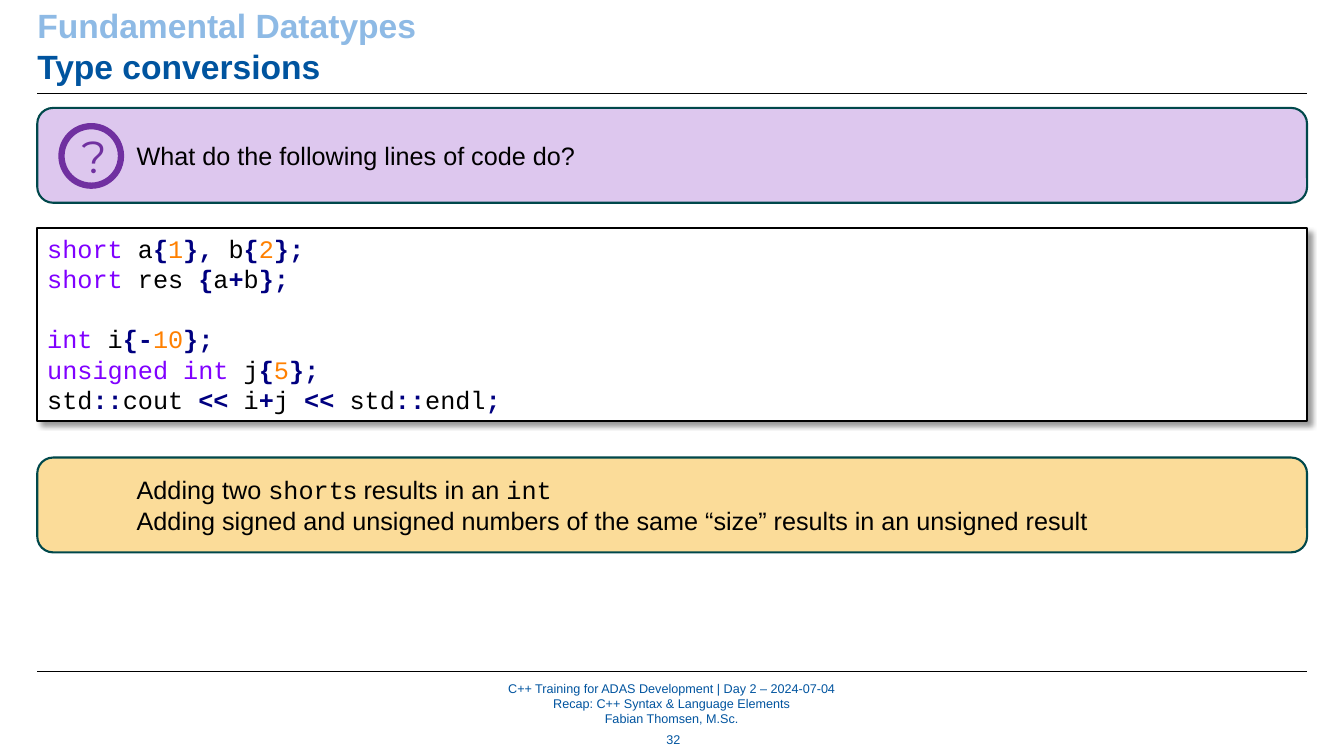
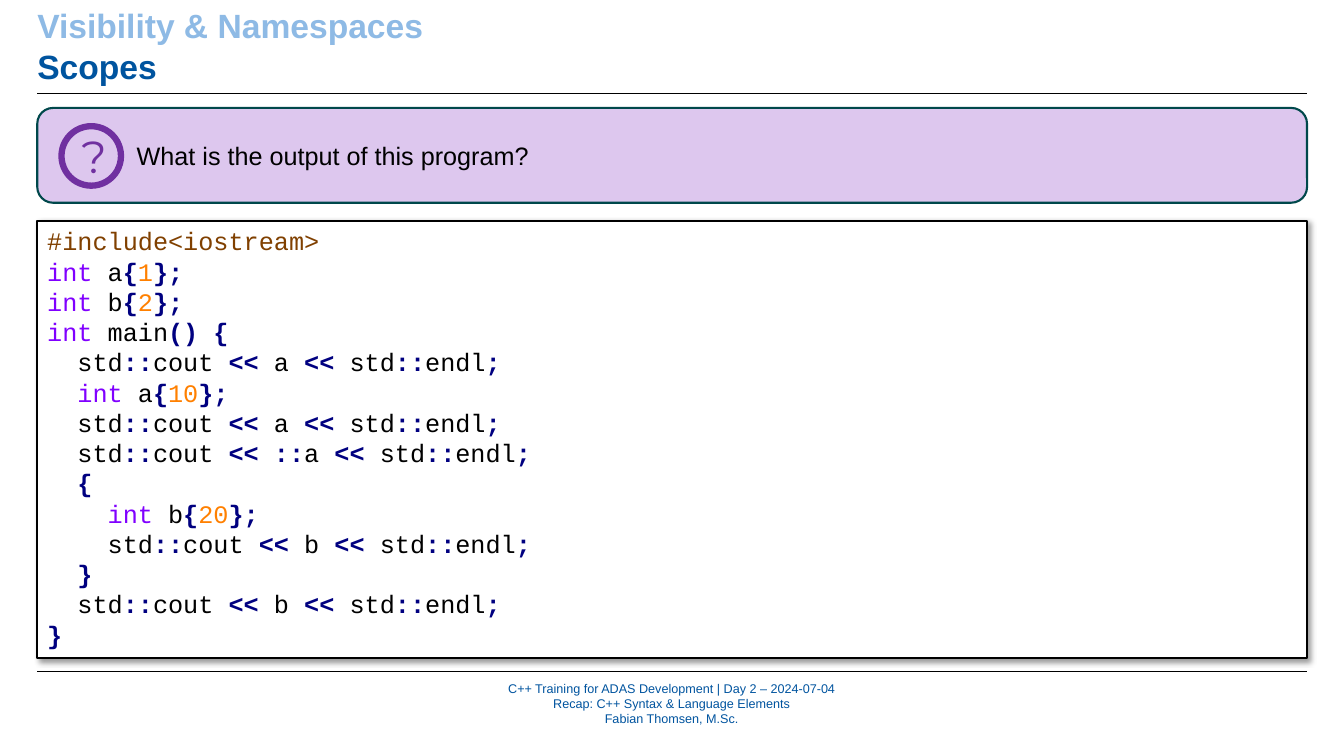
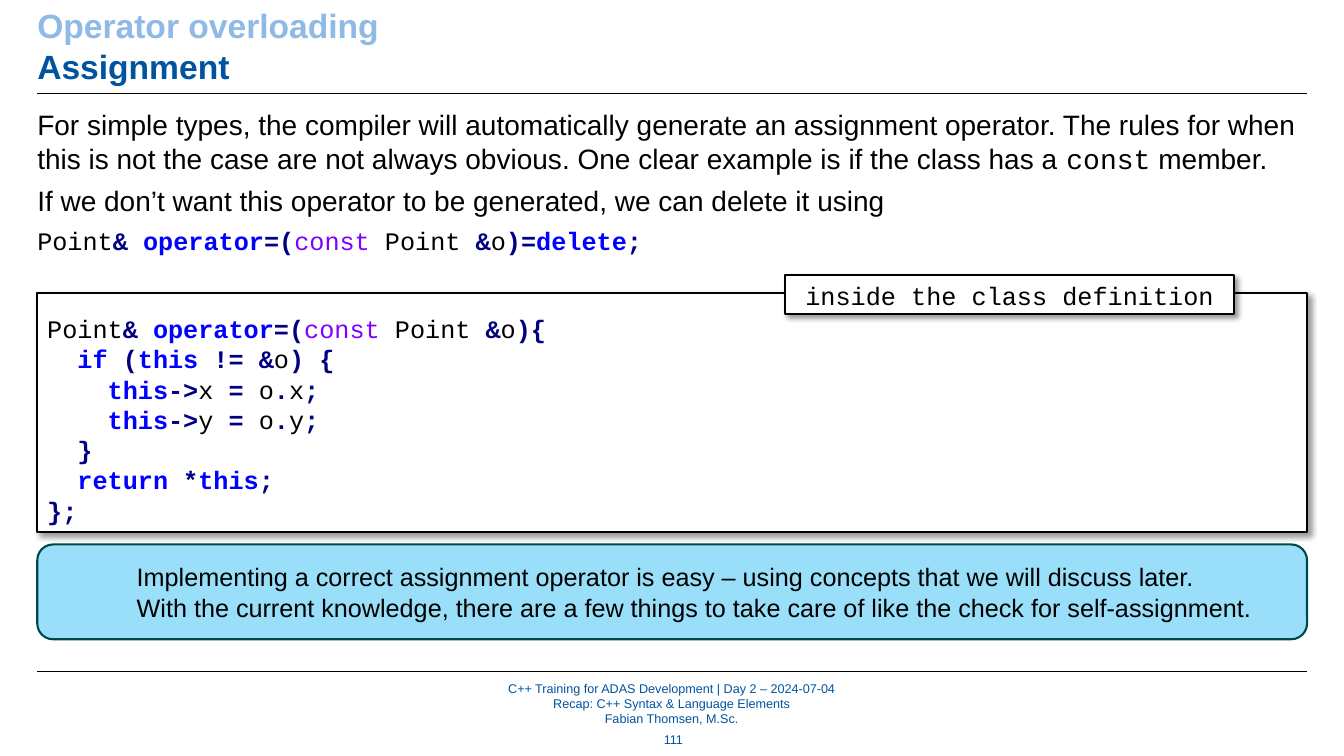
"""Build three C++ training slides with questions, code boxes and callouts."""
from itertools import groupby

from lxml import etree
from pptx import Presentation
from pptx import util as u
from pptx.dml.color import RGBColor
from pptx.enum import shapes, text
from pptx.oxml.ns import qn

SHAPE = shapes.MSO_SHAPE
ANCHOR = text.MSO_ANCHOR
CENTER = text.PP_ALIGN.CENTER
BLUE, LIGHT_BLUE, BLACK, WHITE = "00549F", "8EBAE5", "000000", "FFFFFF"
PURPLE, TEAL = "7030A0", "00484B"
TYPES = {"short", "int", "unsigned", "const"}
KEYWORDS = {"operator", "delete", "if", "this", "return"}
LEFT, WIDTH = 0.94, 32
CALLOUT_HEIGHT = 2.39
FOOTER = ["C++ Training for ADAS Development | Day 2 – 2024-07-04",
          "Recap: C++ Syntax & Language Elements", "Fabian Thomsen, M.Sc."]

DECK = [
    {"title": ["Fundamental Datatypes", "Type conversions"], "number": "32",
     "question": "What do the following lines of code do?",
     "code_box": (5.74, 4.88, 0.13),
     "code": """short a{1}, b{2};
short res {a+b};

int i{-10};
unsigned int j{5};
std::cout << i+j << std::endl;""",
     "callout": (11.53, "F6A800", [
         "Adding two `short`s results in an `int`",
         "Adding signed and unsigned numbers of the same “size” results in an unsigned result"])},
    {"title": ["Visibility & Namespaces", "Scopes"],
     "question": "What is the output of this program?",
     "code_box": (5.56, 11.02, 0.13),
     "code": """#include<iostream>
int a{1};
int b{2};
int main() {
  std::cout << a << std::endl;
  int a{10};
  std::cout << a << std::endl;
  std::cout << ::a << std::endl;
  {
    int b{20};
    std::cout << b << std::endl;
  }
  std::cout << b << std::endl;
}"""},
    {"title": ["Operator overloading", "Assignment"], "number": "111",
     "body": ["For simple types, the compiler will automatically generate an assignment operator. "
              "The rules for when this is not the case are not always obvious. "
              "One clear example is if the class has a `const` member.",
              "If we don’t want this operator to be generated, we can delete it using"],
     "body_code": "Point& operator=(const Point &o)=delete;",
     "code_box": (7.39, 6.02, 0.51),
     "code": """Point& operator=(const Point &o){
  if (this != &o) {
    this->x = o.x;
    this->y = o.y;
  }
  return *this;
};""",
     "label": "`inside the class definition`",
     "callout": (13.72, "00B0F0", [
         "Implementing a correct assignment operator is easy – using concepts that we will discuss later.",
         "With the current knowledge, there are a few things to take care of like the check for self-assignment."])},
]


def write(tf, lines, code=False, size=18, color=BLACK, bold=False, name="Arial", **layout):
    """Append lines; backticks mark monospaced words and code is highlighted."""
    for line in lines:
        first = len(tf.paragraphs) == 1 and not tf.text and line is lines[0]
        p = tf.paragraphs[0] if first else tf.add_paragraph()
        for key, value in layout.items():
            if not (first and key == "space_before"):
                setattr(p, key, value)
        runs = []
        if code and line.startswith("#"):
            runs.append((line, "804000", False, "Courier New"))
        elif code:
            for kind, chars in groupby(line, lambda c: "word" if c.isalnum() else "space" if c == " " else "mark"):
                token = "".join(chars)
                if kind == "mark":
                    look = "000080", True
                elif token in KEYWORDS:
                    look = "0000FF", True
                elif token in TYPES:
                    look = "8000FF", False
                else:
                    look = "FF8000" if token.isdigit() else BLACK, False
                runs.append((token, *look, "Courier New"))
        else:
            for i, part in enumerate(line.split("`")):
                if part:
                    runs.append((part, color, bold, "Courier New" if i % 2 else name))
        for token, hue, strong, face in runs:
            r = p.add_run()
            r.text = token
            for key, value in {"size": u.Pt(size), "bold": strong, "name": face}.items():
                setattr(r.font, key, value)
            r.font.color.rgb = RGBColor.from_string(hue)


def box(s, at, kind=None, fill=None, line=BLACK, weight=1.5, alpha=None, shadow=False,
        ins=(0.25, 0.13, 0.25, 0.13), anchor=ANCHOR.TOP):
    """Add a text box, or a shape of the given kind, and return its text frame."""
    at = [u.Cm(v) for v in at]
    sp = s.shapes.add_shape(kind, *at) if kind else s.shapes.add_textbox(*at)
    if kind:
        sp.shadow.inherit = False
        sp.line.color.rgb = RGBColor.from_string(line)
        sp.line.width = u.Pt(weight)
        if fill:
            sp.fill.solid()
            sp.fill.fore_color.rgb = RGBColor.from_string(fill)
        else:
            sp.fill.background()
    if alpha:
        clr = sp.fill._xPr.find(qn("a:solidFill"))[0]
        etree.SubElement(clr, qn("a:alpha"), val=str(alpha * 1000))
    if shadow:
        effects = sp._element.spPr.find(qn("a:effectLst"))
        outer = etree.SubElement(effects, qn("a:outerShdw"), blurRad=str(u.Pt(4)), dist=str(u.Pt(3)),
                                 dir=str(45 * 60000), algn="tl", rotWithShape="0")
        clr = etree.SubElement(outer, qn("a:srgbClr"), val=BLACK)
        etree.SubElement(clr, qn("a:alpha"), val="40000")
    tf = sp.text_frame
    margins = dict(zip(("margin_left", "margin_top", "margin_right", "margin_bottom"), map(u.Cm, ins)))
    for key, value in {"word_wrap": True, "vertical_anchor": anchor, **margins}.items():
        setattr(tf, key, value)
    return tf


prs = Presentation()
prs.slide_width, prs.slide_height = u.Cm(33.87), u.Cm(19.05)
FLUSH = (0, 0, 0, 0)
PANEL = {"kind": SHAPE.RECTANGLE, "fill": WHITE, "shadow": True}

for page in DECK:
    s = prs.slides.add_slide(prs.slide_layouts[6])
    tf = box(s, (8.71, 17.15, 16.43, 1.17), ins=FLUSH, anchor=ANCHOR.MIDDLE)
    write(tf, FOOTER, size=9, color=BLUE, alignment=CENTER)
    for y in (2.34, 16.92):
        rule = s.shapes.add_connector(shapes.MSO_CONNECTOR.STRAIGHT, u.Cm(LEFT), u.Cm(y),
                                      u.Cm(LEFT + WIDTH), u.Cm(y))
        rule.line.color.rgb = RGBColor.from_string(BLACK)
        rule.line.width = u.Pt(0.5)
        etree.SubElement(rule._element.spPr, qn("a:effectLst"))
    tf = box(s, (LEFT, 0.13, WIDTH, 2.06), ins=FLUSH)
    for line, color in zip(page["title"], (LIGHT_BLUE, BLUE)):
        write(tf, [line], size=24, color=color, bold=True)
    if "number" in page:
        tf = box(s, (16.31, 18.31, 1.32, 0.66), anchor=ANCHOR.MIDDLE)
        write(tf, [page["number"]], size=9, color=BLUE, alignment=CENTER)

    if "body" in page:
        tf = box(s, (LEFT, 2.72, WIDTH, 4.1), ins=FLUSH)
        write(tf, page["body"], size=20, space_before=u.Pt(6))
        write(tf, [page["body_code"]], code=True, space_before=u.Pt(6))

    top, height, inset = page["code_box"]
    tf = box(s, (LEFT, top, WIDTH, height), ins=(0.25, inset, 0.25, 0.13), **PANEL)
    write(tf, page["code"].split("\n"), code=True, alignment=text.PP_ALIGN.LEFT)
    if "label" in page:
        tf = box(s, (19.79, 6.93, 11.3, 0.99), **PANEL)
        write(tf, [page["label"]], alignment=CENTER)

    callouts = []
    if "question" in page:
        callouts.append((2.72, "AC75D5", [page["question"]]))
    if "callout" in page:
        callouts.append(page["callout"])
    for top, fill, lines in callouts:
        tf = box(s, (LEFT, top, WIDTH, CALLOUT_HEIGHT), SHAPE.ROUNDED_RECTANGLE, fill, TEAL,
                 alpha=40, ins=(2.39, 0.13, 0.25, 0.13), anchor=ANCHOR.MIDDLE)
        write(tf, lines, alignment=text.PP_ALIGN.LEFT)
    if "question" in page:
        tf = box(s, (1.55, 3.18, 1.5, 1.5), SHAPE.OVAL, line=PURPLE, weight=4.5,
                 ins=(0.28, 0.13, 0.25, 0.13), anchor=ANCHOR.MIDDLE)
        write(tf, ["?"], size=32, color=PURPLE, name="Montserrat", alignment=CENTER)

prs.save("out.pptx")
